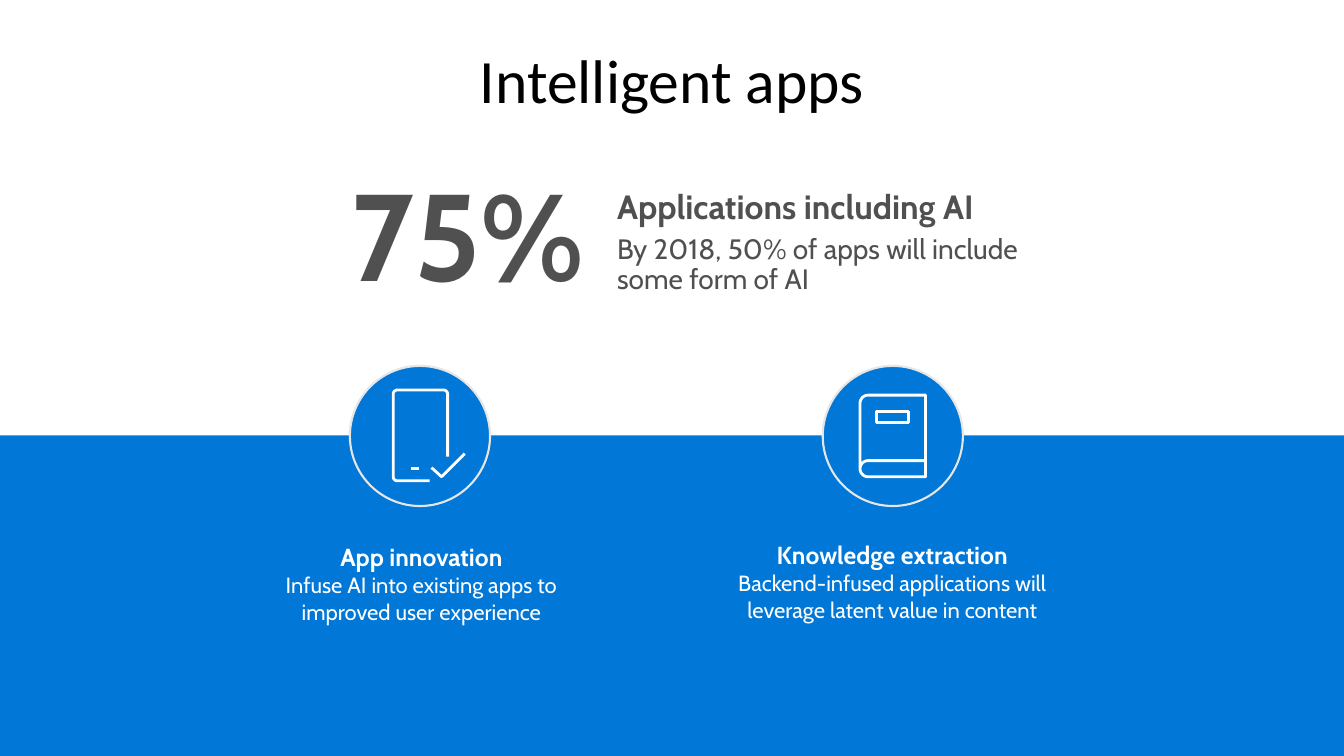
"""Build the "Intelligent apps" slide with a headline figure and two icon topics."""
import math
from dataclasses import dataclass

import pptx
import pptx.dml.color
import pptx.enum.shapes
import pptx.enum.text
import pptx.util

PX = 9144
COLOURS = {
    "blue": "0177D7",
    "grey": "505050",
    "ring": "E7E6E6",
    "white": "FFFFFF",
    "black": "000000",
}
ALIGN = pptx.enum.text.PP_ALIGN
SHAPE = pptx.enum.shapes.MSO_SHAPE


@dataclass(frozen=True)
class Area:
    left: int
    top: int
    width: int
    height: int

    def emu(self) -> list[int]:
        return [n * PX for n in (self.left, self.top, self.width, self.height)]


@dataclass(frozen=True)
class Line:
    text: str
    size: float
    bold: bool = False


@dataclass(frozen=True)
class TextBlock:
    area: Area
    lines: tuple[Line, ...]
    colour: str
    align: ALIGN
    inset: tuple[int, int] = (10, 5)
    spacing: float = 1.0
    after: int = 0


@dataclass(frozen=True)
class Corner:
    x: int
    y: int
    radius: int = 0


@dataclass(frozen=True)
class Stroke:
    corners: tuple[Corner, ...]
    closed: bool = False


@dataclass(frozen=True)
class Badge:
    area: Area
    strokes: tuple[Stroke, ...]


BAND = Area(0, 432, 1333, 318)
FIGURE_INSET = (20, 16)
BLOCKS = (
    TextBlock(Area(303, 158, 322, 168), (Line("75%", 88, True),),
              "grey", ALIGN.CENTER, FIGURE_INSET, 0.9, 6),
    TextBlock(Area(592, 173, 438, 140), (
        Line("Applications including AI", 24, True),
        Line("By 2018, 50% of apps will include some form of AI", 20),
    ), "grey", ALIGN.LEFT, FIGURE_INSET, 0.9, 6),
    TextBlock(Area(261, 533, 314, 94), (
        Line("App innovation", 17.6, True),
        Line("Infuse AI into existing apps to improved user experience", 15.7),
    ), "white", ALIGN.CENTER),
    TextBlock(Area(698, 531, 374, 94), (
        Line("Knowledge extraction", 17.6, True),
        Line("Backend-infused applications will leverage latent value in content", 15.7),
    ), "white", ALIGN.CENTER),
)
PHONE = (
    Stroke((Corner(426, 477), Corner(390, 477, 4), Corner(390, 387, 4),
            Corner(444, 387, 4), Corner(444, 453))),
    Stroke((Corner(428, 464), Corner(438, 473), Corner(461, 450))),
    Stroke((Corner(408, 465), Corner(416, 465))),
)
BOOK = (
    Stroke((Corner(918, 457), Corner(853, 457, 8), Corner(853, 473, 8),
            Corner(918, 473), Corner(918, 392), Corner(853, 392, 8),
            Corner(853, 465))),
    Stroke((Corner(869, 419), Corner(901, 419), Corner(901, 408),
            Corner(869, 408)), closed=True),
)
BADGES = (
    Badge(Area(347, 363, 139, 139), PHONE),
    Badge(Area(816, 363, 139, 139), BOOK),
)


def rgb(name: str) -> pptx.dml.color.RGBColor:
    return pptx.dml.color.RGBColor.from_string(COLOURS[name])


def write_line(para, line: Line, font: str, colour: str) -> None:
    span = para.add_run()
    span.text = line.text
    span.font.name = font
    span.font.size = pptx.util.Pt(line.size)
    span.font.bold = line.bold
    span.font.color.rgb = rgb(colour)


def place_title(page) -> None:
    title = page.shapes.title
    title.left, title.top, title.width, title.height = Area(29, 34, 1275, 98).emu()
    title.text_frame.vertical_anchor = pptx.enum.text.MSO_ANCHOR.MIDDLE
    para = title.text_frame.paragraphs[0]
    para.alignment = ALIGN.CENTER
    para.line_spacing = 0.9
    write_line(para, Line("Intelligent apps", 44), "Calibri", "black")


def add_block(page, block: TextBlock) -> None:
    frame = page.shapes.add_textbox(*block.area.emu()).text_frame
    frame.word_wrap = True
    frame.auto_size = pptx.enum.text.MSO_AUTO_SIZE.SHAPE_TO_FIT_TEXT
    frame.margin_left = frame.margin_right = block.inset[0] * PX
    frame.margin_top = frame.margin_bottom = block.inset[1] * PX
    for index, line in enumerate(block.lines):
        para = frame.add_paragraph() if index else frame.paragraphs[0]
        para.alignment = block.align
        para.line_spacing = block.spacing
        para.space_after = pptx.util.Pt(block.after)
        write_line(para, line, "Cabin", block.colour)


def add_solid(page, kind: SHAPE, area: Area):
    shape = page.shapes.add_shape(kind, *area.emu())
    shape.shadow.inherit = False
    shape.fill.solid()
    shape.fill.fore_color.rgb = rgb("blue")
    shape.line.fill.background()
    return shape


def set_outline(shape, colour: str, width: float) -> None:
    shape.line.color.rgb = rgb(colour)
    shape.line.width = pptx.util.Pt(width)


def toward(corner: Corner, other: Corner) -> tuple[float, float]:
    reach = corner.radius / math.hypot(other.x - corner.x, other.y - corner.y)
    return (other.x - corner.x) * reach, (other.y - corner.y) * reach


def trace(corners: tuple[Corner, ...]) -> list[tuple[int, int]]:
    points = []
    for index, corner in enumerate(corners):
        if not corner.radius:
            points.append((corner.x * PX, corner.y * PX))
            continue
        before = toward(corner, corners[index - 1])
        after = toward(corner, corners[index + 1])
        for step in range(9):
            angle = math.pi / 2 * step / 8
            start, end = 1 - math.sin(angle), 1 - math.cos(angle)
            points.append((round((corner.x + before[0] * start + after[0] * end) * PX),
                           round((corner.y + before[1] * start + after[1] * end) * PX)))
    return points


def add_icon(page, strokes: tuple[Stroke, ...]) -> None:
    first = strokes[0].corners[0]
    builder = page.shapes.build_freeform(first.x * PX, first.y * PX)
    for index, stroke in enumerate(strokes):
        start, *rest = trace(stroke.corners)
        if index:
            builder.move_to(*start)
        builder.add_line_segments(rest, close=stroke.closed)
    icon = builder.convert_to_shape()
    icon.shadow.inherit = False
    icon.fill.background()
    set_outline(icon, "white", 2)


def main() -> None:
    deck = pptx.Presentation()
    deck.slide_width, deck.slide_height = 1333 * PX, 750 * PX
    page = deck.slides.add_slide(deck.slide_layouts[5])
    place_title(page)
    add_solid(page, SHAPE.RECTANGLE, BAND)
    for block in BLOCKS:
        add_block(page, block)
    for badge in BADGES:
        set_outline(add_solid(page, SHAPE.OVAL, badge.area), "ring", 1.5)
        add_icon(page, badge.strokes)
    deck.save("out.pptx")


if __name__ == "__main__":
    main()
